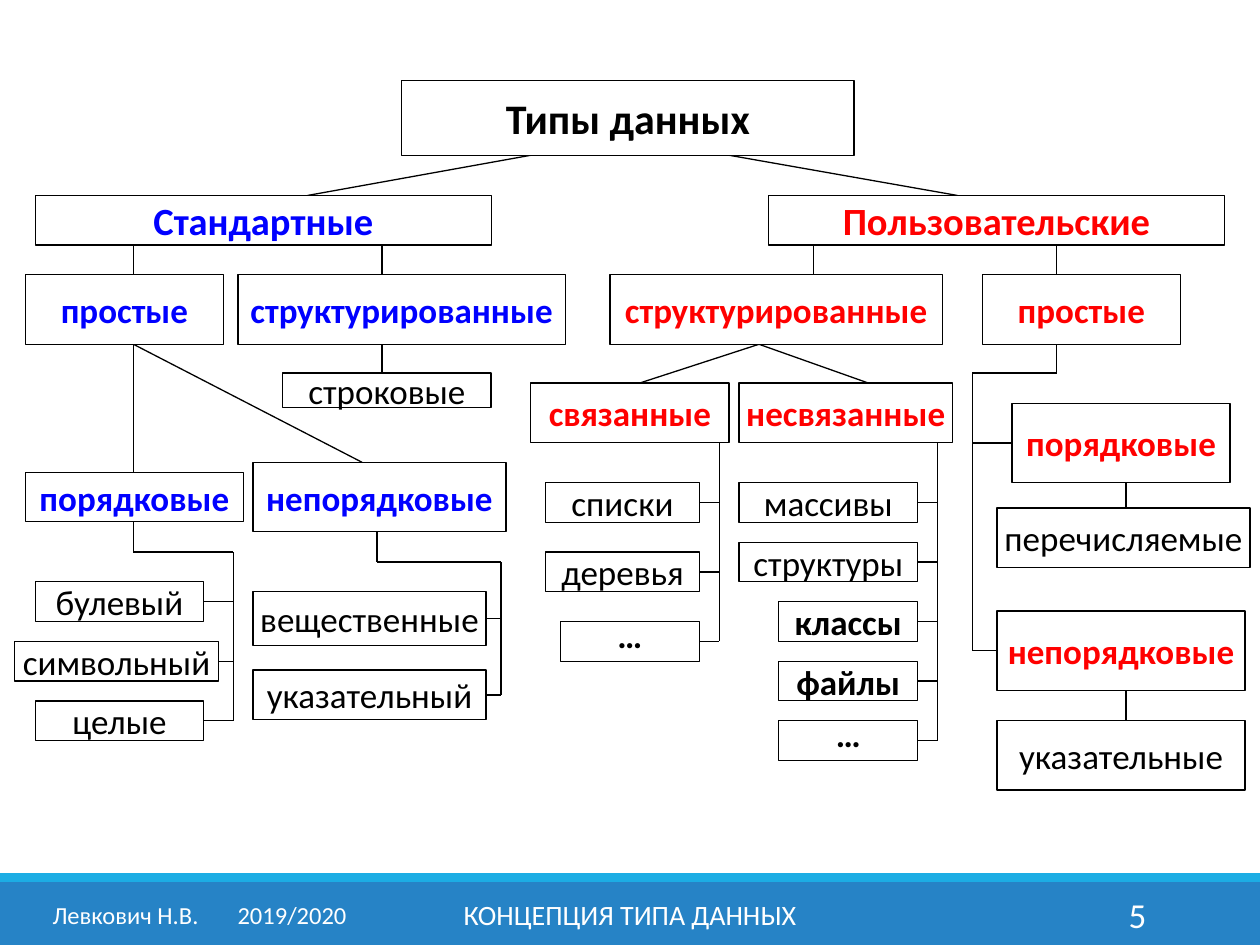
"""Build a slide with a tree of data types."""
from dataclasses import dataclass

import lxml.etree
import pptx
import pptx.dml.color
import pptx.enum.shapes
import pptx.enum.text
import pptx.oxml.ns
import pptx.util

Cm = pptx.util.Cm
Align = pptx.enum.text.PP_ALIGN
Anchor = pptx.enum.text.MSO_ANCHOR
BLACK, BLUE, RED, WHITE = "000000", "0000FF", "FF0000", "FFFFFF"


@dataclass
class Box:
    text: str
    x: float
    y: float
    w: float
    h: float
    color: str = BLACK
    bold: bool = False
    size: int = 20
    anchor: Anchor = Anchor.MIDDLE

    @property
    def mid(self) -> float:
        return self.y + self.h / 2


@dataclass
class Branch:
    x: float
    y: float
    trunk: float
    bend: float
    leaves: list[Box]


@dataclass
class Label:
    text: str
    x: float
    w: float
    size: int
    align: Align


HEADS = [
    Box("Типы данных", 8.1, 1.63, 9.12, 1.5, BLACK, True, 24),
    Box("Стандартные", 0.71, 3.94, 9.2, 1, BLUE, True, 22),
    Box("Пользовательские", 15.49, 3.94, 9.2, 1, RED, True, 22),
    Box("простые", 0.51, 5.54, 4, 1.4, BLUE, True),
    Box("структурированные", 4.8, 5.54, 6.6, 1.4, BLUE, True),
    Box("структурированные", 12.3, 5.54, 6.7, 1.4, RED, True),
    Box("простые", 19.8, 5.54, 4, 1.4, RED, True),
    Box("порядковые", 0.51, 9.52, 4.4, 1, BLUE, True),
    Box("непорядковые", 5.1, 9.32, 5.1, 1.4, BLUE, True),
    Box("связанные", 10.7, 7.72, 4, 1.2, RED, True),
    Box("несвязанные", 14.9, 7.72, 4.3, 1.2, RED, True),
    Box("строковые", 5.7, 7.52, 4.2, 0.7),
    Box("перечисляемые", 20.1, 10.24, 5.1, 1.2),
    Box("указательные", 20.1, 14.53, 5, 1.4),
]

BRANCHES = [
    Branch(2.69, 10.52, 4.7, 11.13, [
        Box("булевый", 0.71, 11.73, 3.4, 0.8),
        Box("символьный", 0.3, 12.93, 4.1, 0.8),
        Box("целые", 0.71, 14.13, 3.4, 0.8),
    ]),
    Branch(7.6, 10.72, 10.1, 11.33, [
        Box("вещественные", 5.1, 11.92, 4.7, 1.1),
        Box("указательный", 5.1, 13.51, 4.7, 1),
    ]),
    Branch(14.5, 8.92, 14.5, 8.92, [
        Box("списки", 11, 9.73, 3.1, 0.8),
        Box("деревья", 11, 11.13, 3.1, 0.8),
        Box("…", 11.3, 12.53, 2.8, 0.8, bold=True, anchor=Anchor.BOTTOM),
    ]),
    Branch(18.9, 8.92, 18.9, 8.92, [
        Box("массивы", 14.9, 9.73, 3.6, 0.8),
        Box("структуры", 14.9, 10.93, 3.6, 0.8),
        Box("классы", 15.7, 12.13, 2.8, 0.8, bold=True),
        Box("файлы", 15.7, 13.33, 2.8, 0.8, bold=True),
        Box("…", 15.7, 14.53, 2.8, 0.8, bold=True, anchor=Anchor.BOTTOM),
    ]),
    Branch(21.3, 6.94, 19.6, 7.52, [
        Box("порядковые", 20.4, 8.13, 4.4, 1.6, RED, True),
        Box("непорядковые", 20.1, 12.32, 5, 1.6, RED, True),
    ]),
]

LINKS = [
    (10.7, 3.13, 6.2, 3.94), (14.7, 3.13, 19.3, 3.94),
    *((x, 4.94, x, 5.54) for x in (2.69, 7.7, 16.4, 21.3)),
    (2.69, 6.94, 2.69, 9.52), (2.69, 6.94, 7.3, 9.32),
    (7.7, 6.94, 7.7, 7.52),
    (15.3, 6.94, 12.9, 7.72), (15.3, 6.94, 17.5, 7.72),
    (22.7, 9.73, 22.7, 10.24), (22.7, 13.92, 22.7, 14.53),
]

LABELS = [
    Label("Левкович Н.В.\t2019/2020", 0.81, 6.63, 14, Align.LEFT),
    Label("КОНЦЕПЦИЯ ТИПА ДАННЫХ", 7.67, 10.06, 16, Align.CENTER),
    Label("5", 20.62, 2.74, 20, Align.RIGHT),
]


def paint(fmt, color: str) -> None:
    """Give a fill a solid colour."""
    fmt.solid()
    fmt.fore_color.rgb = pptx.dml.color.RGBColor.from_string(color)


def write(shape, text: str, size: int, color: str, align: Align,
          anchor: Anchor = Anchor.MIDDLE, bold: bool = False):
    """Set the text of a shape and return its paragraph."""
    frame = shape.text_frame
    frame.word_wrap = True
    frame.vertical_anchor = anchor
    para = frame.paragraphs[0]
    para.text = text
    para.alignment = align
    font = para.font
    font.name, font.size, font.bold = "Calibri", pptx.util.Pt(size), bold
    paint(font.fill, color)
    return para


def draw_rect(slide, x: float, y: float, w: float, h: float, fill: str):
    """Draw a plain filled rectangle."""
    kind = pptx.enum.shapes.MSO_SHAPE.RECTANGLE
    shape = slide.shapes.add_shape(kind, Cm(x), Cm(y), Cm(w), Cm(h))
    shape.shadow.inherit = False
    paint(shape.fill, fill)
    shape.line.fill.background()
    return shape


def draw_box(slide, box: Box) -> None:
    """Draw a framed node with its name."""
    shape = draw_rect(slide, box.x, box.y, box.w, box.h, WHITE)
    paint(shape.line.fill, BLACK)
    shape.line.width = pptx.util.Pt(0.75)
    frame = shape.text_frame
    frame.margin_left = frame.margin_right = Cm(0.1)
    write(shape, box.text, box.size, box.color, Align.CENTER, box.anchor, box.bold)


def draw_line(slide, x1: float, y1: float, x2: float, y2: float) -> None:
    """Draw a thin black line."""
    kind = pptx.enum.shapes.MSO_CONNECTOR.STRAIGHT
    line = slide.shapes.add_connector(kind, Cm(x1), Cm(y1), Cm(x2), Cm(y2))
    paint(line.line.fill, BLACK)
    line.line.width = pptx.util.Pt(0.75)
    props = line.element.find(pptx.oxml.ns.qn("p:spPr"))
    lxml.etree.SubElement(props, pptx.oxml.ns.qn("a:effectLst"))


def draw_branch(slide, branch: Branch) -> None:
    """Draw leaves joined to a shared trunk."""
    if branch.x != branch.trunk:
        draw_line(slide, branch.x, branch.y, branch.x, branch.bend)
        draw_line(slide, branch.x, branch.bend, branch.trunk, branch.bend)
    draw_line(slide, branch.trunk, branch.bend, branch.trunk, branch.leaves[-1].mid)
    for leaf in branch.leaves:
        edge = leaf.x if leaf.x > branch.trunk else leaf.x + leaf.w
        draw_line(slide, edge, leaf.mid, branch.trunk, leaf.mid)
        draw_box(slide, leaf)


def draw_label(slide, label: Label) -> None:
    """Write a white text on the bottom band."""
    area = slide.shapes.add_textbox(Cm(label.x), Cm(17.93), Cm(label.w), Cm(1.02))
    para = write(area, label.text, label.size, WHITE, label.align)
    if "\t" in label.text:
        qn = pptx.oxml.ns.qn
        props = para._p.get_or_add_pPr()
        tabs = lxml.etree.Element(qn("a:tabLst"))
        lxml.etree.SubElement(tabs, qn("a:tab"), pos=str(Cm(3.73)), algn="l")
        props.insert(0, tabs)


def main() -> None:
    """Build and save the slide."""
    deck = pptx.Presentation()
    deck.slide_width, deck.slide_height = Cm(25.4), Cm(19.05)
    slide = deck.slides.add_slide(deck.slide_layouts[6])
    draw_rect(slide, 0, 17.78, 25.4, 1.27, "2683C6")
    draw_rect(slide, 0, 17.6, 25.4, 0.18, "1CADE4")
    for link in LINKS:
        draw_line(slide, *link)
    for head in HEADS:
        draw_box(slide, head)
    for branch in BRANCHES:
        draw_branch(slide, branch)
    for label in LABELS:
        draw_label(slide, label)
    deck.save("out.pptx")


if __name__ == "__main__":
    main()
